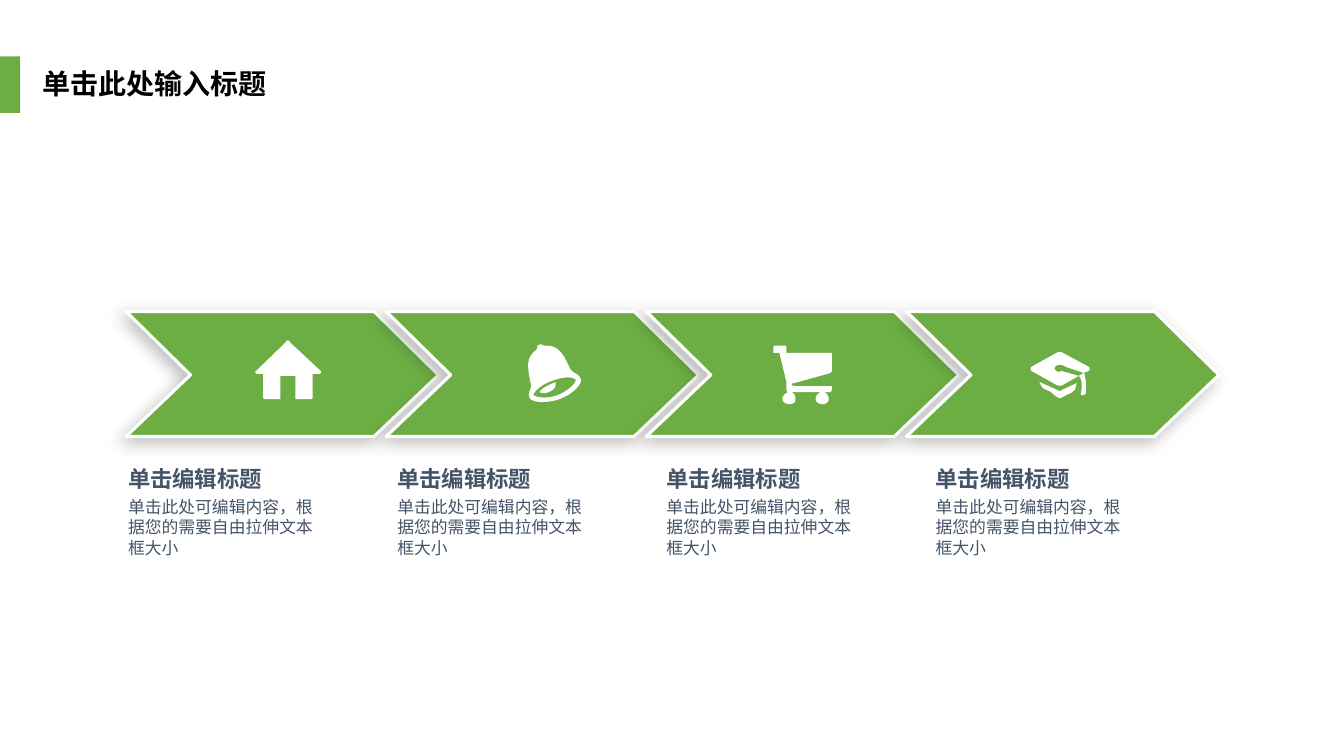
from lxml import etree
from pptx import Presentation
from pptx.dml.color import RGBColor
from pptx.enum.shapes import MSO_SHAPE
from pptx.enum.text import MSO_ANCHOR
from pptx.oxml import parse_xml
from pptx.oxml.ns import qn
from pptx.util import Inches, Pt

RECT = MSO_SHAPE.RECTANGLE
TOP, MIDDLE = MSO_ANCHOR.TOP, MSO_ANCHOR.MIDDLE
GREEN = RGBColor(0x6C, 0xAE, 0x43)
WHITE = RGBColor(0xFF, 0xFF, 0xFF)
BLACK = RGBColor(0, 0, 0)
SLATE = RGBColor(0x44, 0x54, 0x69)
STEPS = 8  # straight pieces per curve

SHADE = (
    '<a:outerShdw xmlns:a="http://schemas.openxmlformats.org/drawingml/2006/main"'
    f' blurRad="{Pt(12)}" dist="{Pt(5)}" dir="{135 * 60000}" algn="tr" rotWithShape="0">'
    '<a:srgbClr val="000000"><a:alpha val="26000"/></a:srgbClr></a:outerShdw>'
)

# Outlines in hundredths of an inch: a pair is a line end,
# six numbers are a cubic curve (two handles and the end).
ARROW = [[(0, 0), (246, 0), (310, 63), (246, 124), (0, 124), (64, 63)]]
HOUSE = [[
    (66, 31), (36, 3), (35, 0, 32, 0, 31, 3), (2, 31), (0, 32, 2, 34, 3, 34),
    (9, 34), (9, 57), (9, 58, 9, 59, 12, 59), (26, 59), (26, 36), (41, 36),
    (41, 59), (56, 59), (58, 59, 58, 58, 58, 57), (58, 34), (65, 34),
    (66, 34, 67, 32, 66, 31),
]]
BELL = [
    [(43, 24), (36, 8, 31, 2, 20, 2), (15, 2, 16, 0, 13, 1), (9, 2, 13, 3, 9, 7),
     (0, 14, 1, 22, 4, 38), (7, 45, 1, 46, 3, 53), (4, 58, 18, 60, 33, 55),
     (47, 50, 56, 39, 54, 35), (51, 28, 47, 31, 43, 24)],
    [(31, 51), (18, 56, 8, 52, 7, 51), (7, 50, 11, 42, 25, 37),
     (41, 31, 49, 34, 49, 36), (50, 37, 44, 46, 31, 51)],
    [(27, 39), (20, 42, 16, 44, 13, 48), (15, 49, 18, 50, 22, 48),
     (28, 46, 30, 42, 29, 38), (29, 38, 28, 39, 27, 39)],
]
CART = [
    [(9, 53), (9, 56, 13, 58, 16, 58), (20, 58, 22, 56, 22, 53),
     (22, 49, 20, 46, 16, 46), (13, 46, 9, 49, 9, 53)],
    [(42, 53), (42, 56, 45, 58, 49, 58), (52, 58, 55, 56, 55, 53),
     (55, 49, 52, 46, 49, 46), (45, 46, 42, 49, 42, 53)],
    [(21, 37), (57, 27), (58, 25), (58, 7), (13, 7), (13, 1), (12, 0), (1, 0),
     (0, 1), (0, 7), (6, 7), (13, 36), (13, 44), (14, 46), (57, 46), (58, 44),
     (58, 40), (22, 40), (17, 40, 17, 37, 21, 37)],
]
CAP = [
    [(9, 30), (11, 35, 12, 37, 19, 39), (24, 43, 27, 46, 29, 46),
     (31, 46, 35, 43, 40, 41), (46, 37, 44, 37, 46, 31), (29, 39)],
    [(58, 15), (32, 1), (31, 0, 28, 0, 26, 1), (1, 15), (0, 16, 0, 17, 1, 19),
     (26, 33), (28, 34, 31, 34, 32, 33), (48, 24), (31, 19),
     (30, 19, 30, 20, 29, 20), (26, 20, 24, 18, 24, 16), (24, 15, 26, 13, 29, 13),
     (31, 13, 34, 14, 35, 15), (53, 21), (58, 19), (59, 17, 59, 16, 58, 15)],
    [(50, 42), (49, 43, 54, 44, 55, 41), (56, 26, 53, 21, 53, 21), (48, 24),
     (48, 24, 53, 27, 50, 42)],
]

deck = Presentation()
deck.slide_width, deck.slide_height = Inches(13.33), Inches(7.5)
slide = deck.slides.add_slide(deck.slide_layouts[6])
shapes = slide.shapes


def draw(rings, left, top, fill):
    """Add one closed freeform made of rings, with curves cut into short lines."""
    pen = None
    for ring in rings:
        dots = [ring[0]]
        for seg in ring[1:]:
            if len(seg) == 2:
                dots.append(seg)
                continue
            ends = [dots[-1], seg[:2], seg[2:4], seg[4:]]
            for k in range(1, STEPS + 1):
                t = k / STEPS
                mix = ((1 - t) ** 3, 3 * t * (1 - t) ** 2, 3 * t * t * (1 - t), t ** 3)
                dots.append(tuple(sum(m * e[a] for m, e in zip(mix, ends)) for a in (0, 1)))
        dots = [(Inches(left + x / 100), Inches(top + y / 100)) for x, y in dots]
        if pen is None:
            pen = shapes.build_freeform(*dots[0])
        else:
            pen.move_to(*dots[0])
        pen.add_line_segments(dots[1:], close=True)
    form = pen.convert_to_shape()
    form.fill.solid()
    form.fill.fore_color.rgb = fill
    form.line.fill.background()
    form.shadow.inherit = False
    return form


def write(text, box, face, pad=0, anchor=TOP):
    """Add a text box; face maps font attributes to values."""
    frame = shapes.add_textbox(*map(Inches, box)).text_frame
    frame.word_wrap = True
    frame.vertical_anchor = anchor
    for side, size in zip(("left", "top", "right", "bottom"), (2 * pad, pad) * 2):
        setattr(frame, f"margin_{side}", Inches(size))
    run = frame.paragraphs[0].add_run()
    run.text = text
    for key, val in face.items():
        if key == "rgb":
            run.font.color.rgb = val
        else:
            setattr(run.font, key, val)
    etree.SubElement(run._r.get_or_add_rPr(), qn("a:ea"), typeface=face["name"])


bar = shapes.add_shape(RECT, 0, Inches(0.56), Inches(0.2), Inches(0.56))
bar.fill.solid()
bar.fill.fore_color.rgb = GREEN
bar.line.fill.background()
bar.shadow.inherit = False

TITLE = {"name": "Noto Sans CJK SC", "size": Pt(20), "bold": True, "rgb": BLACK}
HEAD = {"name": "Arial", "size": Pt(16), "bold": True, "rgb": SLATE}
BODY = {"name": "Arial", "size": Pt(12), "rgb": SLATE}
write("单击此处输入标题", (0.32, 0.61, 2.93, 0.44), TITLE, 0.05, MIDDLE)

for i in range(4):
    arrow = draw(ARROW, 1.25 + 2.58 * i, 3.09, GREEN)
    arrow.line.color.rgb = WHITE
    arrow.line.width = Pt(2.25)
    arrow._element.spPr.find(qn("a:effectLst")).append(parse_xml(SHADE))

icons = [(HOUSE, 2.52, 3.37), (BELL, 5.22, 3.41), (CART, 7.67, 3.43), (CAP, 10.22, 3.49)]
for rings, left, top in icons:
    draw(rings, left, top, WHITE)

for i in range(4):
    left = 1.27 + 2.67 * i
    write("单击编辑标题", (left, 4.61, 2.14, 0.27), HEAD)
    write("单击此处可编辑内容，根据您的需要自由拉伸文本框大小", (left, 4.93, 1.91, 0.61), BODY)

deck.save("out.pptx")
